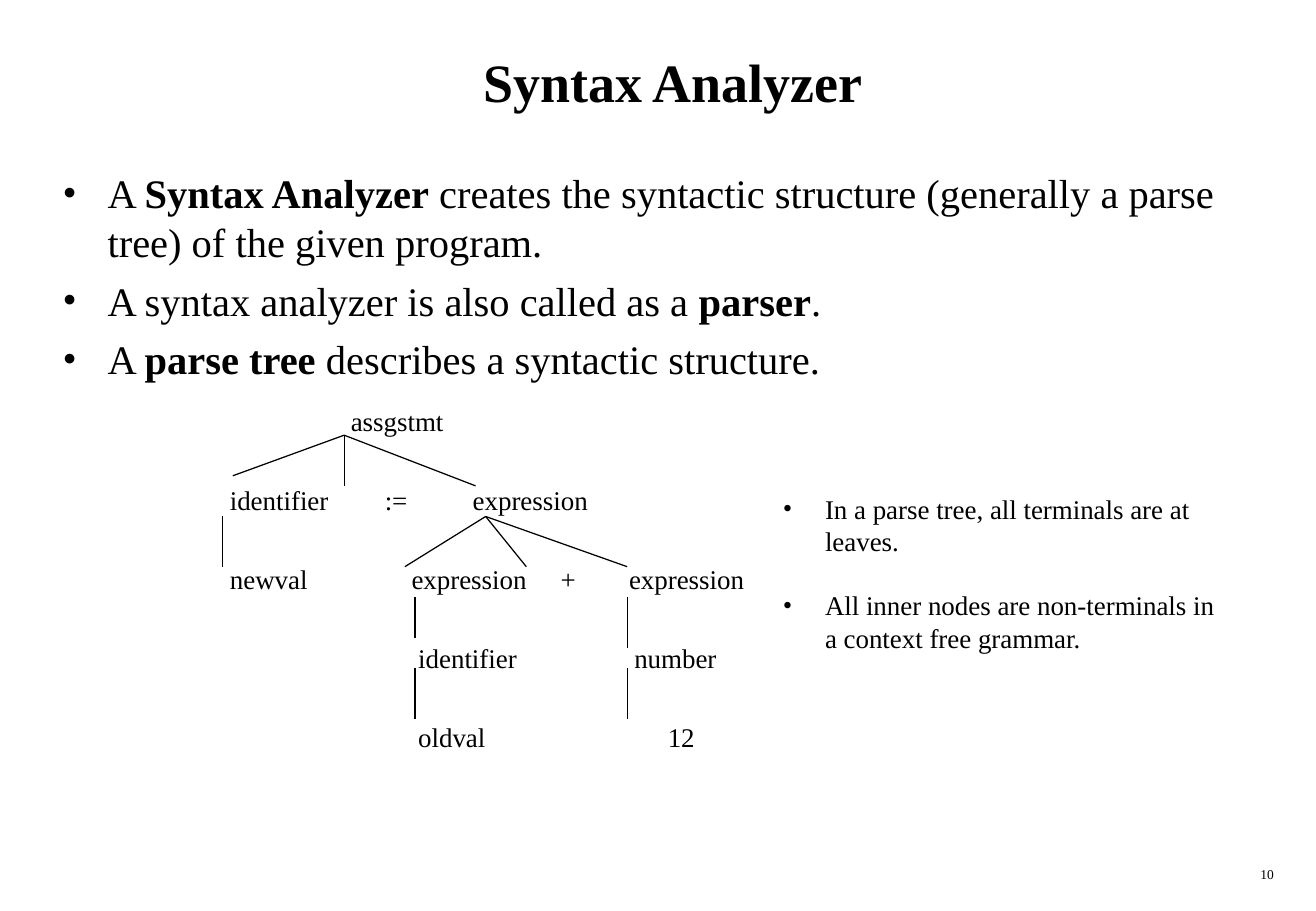
from typing import NamedTuple

from lxml import etree
from pptx import Presentation
from pptx.dml.color import RGBColor
from pptx.enum.shapes import MSO_CONNECTOR
from pptx.enum.text import MSO_ANCHOR, MSO_AUTO_SIZE, PP_ALIGN
from pptx.oxml.ns import qn
from pptx.util import Cm, Pt

STRAIGHT = MSO_CONNECTOR.STRAIGHT
TOP, MIDDLE = MSO_ANCHOR.TOP, MSO_ANCHOR.MIDDLE
NO_AUTOFIT = MSO_AUTO_SIZE.NONE
LEFT, CENTER, RIGHT = PP_ALIGN.LEFT, PP_ALIGN.CENTER, PP_ALIGN.RIGHT
BLACK = RGBColor(0x00, 0x00, 0x00)
FONT = "Times New Roman"


class Piece(NamedTuple):
    text: str
    bold: bool = False


class Box(NamedTuple):
    left: float
    top: float
    width: float
    height: float


class Node(NamedTuple):
    left: float
    label: str


class Branch(NamedTuple):
    x: float
    y: float
    ends: list[tuple[float, float]]


TITLE_BOX = Box(1.06, 0.42, 26.04, 2.54)
BODY_BOX = Box(1.06, 3.39, 26.04, 4.9)
NOTES_BOX = Box(16.13, 10.16, 10.29, 2.97)
NUMBER_BOX = Box(21.16, 17.98, 5.74, 0.64)

TREE_TOP = 8.48
ROW_PITCH = 1.65
NODE_HEIGHT = 0.64
CHARACTER_WIDTH = 0.3

STATEMENTS = [
    [
        Piece("A "),
        Piece("Syntax Analyzer", True),
        Piece(" creates the syntactic structure (generally a parse tree) of the given program."),
    ],
    [Piece("A syntax analyzer is also called as a "), Piece("parser", True), Piece(".")],
    [Piece("A "), Piece("parse tree", True), Piece(" describes a syntactic structure.")],
]
TREE_ROWS = [
    [Node(7.34, "assgstmt")],
    [Node(4.81, "identifier"), Node(8.05, ":="), Node(9.89, "expression")],
    [Node(4.81, "newval"), Node(8.61, "expression"), Node(11.73, "+"), Node(13.16, "expression")],
    [Node(8.75, "identifier"), Node(13.27, "number")],
    [Node(8.75, "oldval"), Node(13.97, "12")],
]
BRANCHES = [
    Branch(7.2, 9.1, [(4.87, 9.95), (7.2, 10.16), (9.95, 10.16)]),
    Branch(4.66, 10.8, [(4.66, 11.85)]),
    Branch(10.16, 10.8, [(8.47, 11.85), (11.01, 11.85), (13.12, 11.85)]),
    Branch(8.68, 12.49, [(8.68, 13.34)]),
    Branch(8.68, 13.97, [(8.68, 15.03)]),
    Branch(13.12, 12.49, [(13.12, 13.55)]),
    Branch(13.12, 13.97, [(13.12, 15.03)]),
]
NOTES = [
    "In a parse tree, all terminals are at leaves.",
    "All inner nodes are non-terminals in a context free grammar.",
]


def apply_format(target, values: dict) -> None:
    for name, value in values.items():
        setattr(target, name, value)


def place(shape, box: Box) -> None:
    apply_format(shape, {name: Cm(value) for name, value in box._asdict().items()})


def format_frame(frame, anchor=TOP, side: float = 0.25, edge: float = 0.13,
                 wrap: bool = True) -> None:
    apply_format(frame, {
        "word_wrap": wrap, "auto_size": NO_AUTOFIT, "vertical_anchor": anchor,
        "margin_left": Cm(side), "margin_right": Cm(side),
        "margin_top": Cm(edge), "margin_bottom": Cm(edge),
    })


def set_bullet(paragraph, indent: float) -> None:
    properties = paragraph._p.get_or_add_pPr()
    properties.set("marL", str(Cm(indent)))
    properties.set("indent", str(-Cm(indent)))
    color = etree.SubElement(properties, qn("a:buClr"))
    etree.SubElement(color, qn("a:srgbClr"), val=str(BLACK))
    etree.SubElement(properties, qn("a:buFont"), typeface=FONT)
    etree.SubElement(properties, qn("a:buChar"), char="•")


def write(paragraph, pieces: list[Piece], size: float, space_before: float = 0,
          alignment=LEFT) -> None:
    apply_format(paragraph, {
        "alignment": alignment, "line_spacing": 1.0,
        "space_before": Pt(space_before), "space_after": Pt(0),
    })
    for piece in pieces:
        run = paragraph.add_run()
        run.text = piece.text
        apply_format(run.font, {"name": FONT, "size": Pt(size), "bold": piece.bold})
        run.font.color.rgb = BLACK


def write_bullets(frame, items: list[list[Piece]], size: float, indent: float,
                  gap: float) -> None:
    for index, pieces in enumerate(items):
        paragraph = frame.add_paragraph() if index else frame.paragraphs[0]
        set_bullet(paragraph, indent)
        write(paragraph, pieces, size, gap if index else 0)


def add_text_box(slide, box: Box):
    return slide.shapes.add_textbox(*(Cm(value) for value in box)).text_frame


def add_node(slide, node: Node, row: int) -> None:
    width = CHARACTER_WIDTH * len(node.label)
    frame = add_text_box(slide, Box(node.left, TREE_TOP + row * ROW_PITCH, width, NODE_HEIGHT))
    format_frame(frame, MIDDLE, side=0, edge=0, wrap=False)
    write(frame.paragraphs[0], [Piece(node.label)], 16)


def add_branch(slide, branch: Branch) -> None:
    for end_x, end_y in branch.ends:
        connector = slide.shapes.add_connector(
            STRAIGHT, Cm(branch.x), Cm(branch.y), Cm(end_x), Cm(end_y))
        connector.line.color.rgb = BLACK
        connector.line.width = Pt(0.75)
        etree.SubElement(connector._element.spPr, qn("a:effectLst"))


def main() -> None:
    presentation = Presentation()
    presentation.slide_width = Cm(27.53)
    presentation.slide_height = Cm(19.05)
    slide = presentation.slides.add_slide(presentation.slide_layouts[1])

    title = slide.shapes.title
    place(title, TITLE_BOX)
    format_frame(title.text_frame, MIDDLE)
    write(title.text_frame.paragraphs[0], [Piece("Syntax Analyzer", True)], 32, alignment=CENTER)

    body = slide.placeholders[1]
    place(body, BODY_BOX)
    format_frame(body.text_frame)
    write_bullets(body.text_frame, STATEMENTS, 24, 0.94, 6)

    for branch in BRANCHES:
        add_branch(slide, branch)
    for row, nodes in enumerate(TREE_ROWS):
        for node in nodes:
            add_node(slide, node, row)

    notes_frame = add_text_box(slide, NOTES_BOX)
    format_frame(notes_frame)
    notes_frame.margin_right = Cm(0.75)
    write_bullets(notes_frame, [[Piece(note)] for note in NOTES], 16, 0.88, 19)

    number_frame = add_text_box(slide, NUMBER_BOX)
    format_frame(number_frame)
    write(number_frame.paragraphs[0], [Piece("10")], 8, alignment=RIGHT)

    presentation.save("out.pptx")


if __name__ == "__main__":
    main()
